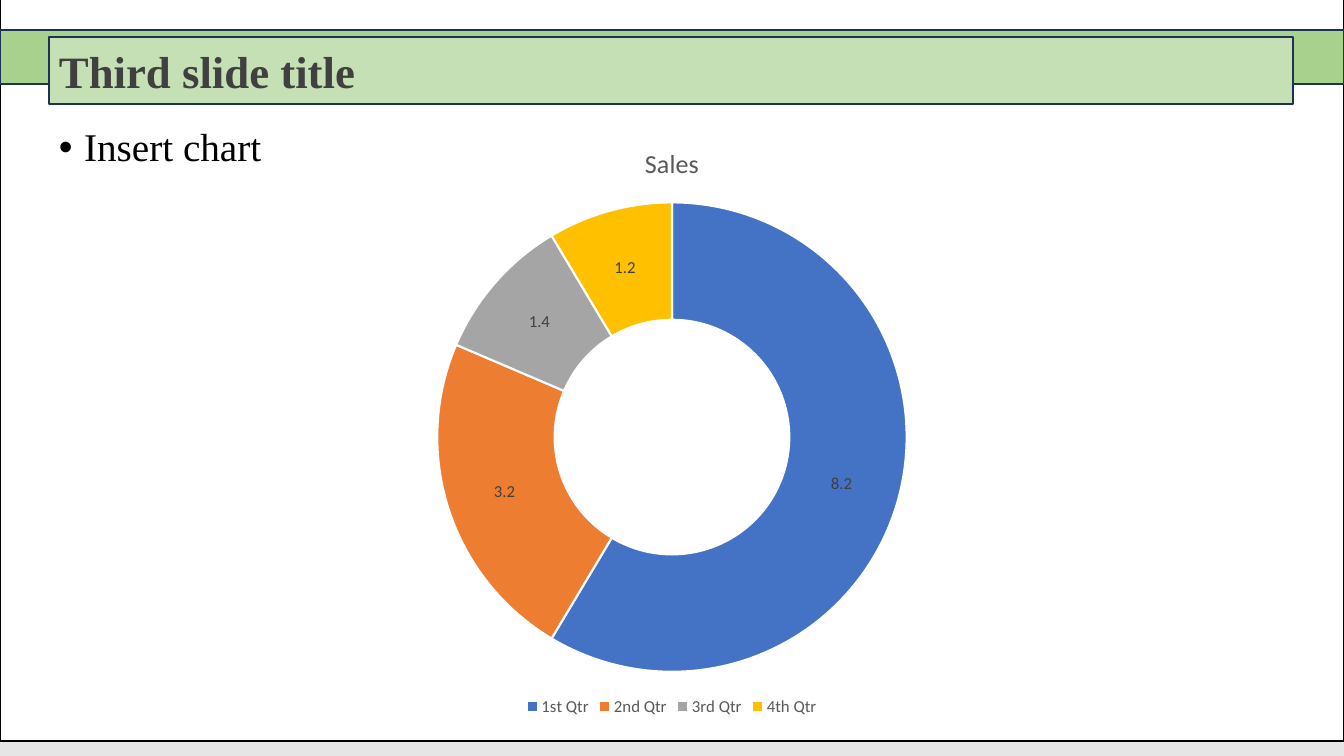
from lxml.etree import SubElement
from pptx import Presentation
from pptx.chart.data import CategoryChartData
from pptx.dml.color import RGBColor
from pptx.enum.chart import XL_CHART_TYPE, XL_LEGEND_POSITION
from pptx.enum.shapes import MSO_SHAPE
from pptx.enum.text import MSO_ANCHOR, PP_ALIGN
from pptx.oxml.ns import qn
from pptx.util import Pt

SCALE = 914400 / 100.8
COLORS = {
    "back": "E7E6E6", "page": "FFFFFF", "edge": "000000",
    "band": "A9D18E", "title": "C5E0B4", "rim": "1E3256",
    "text": "000000", "dark": "404040", "gray": "595959",
}
SALES = {
    "1st Qtr": (8.2, "4472C4"),
    "2nd Qtr": (3.2, "ED7D31"),
    "3rd Qtr": (1.4, "A5A5A5"),
    "4th Qtr": (1.2, "FFC000"),
}


def px(*sizes):
    """Turn px lengths into a list of EMU."""
    return [round(size * SCALE) for size in sizes]


def rgb(name):
    return RGBColor.from_string(COLORS.get(name, name))


def paint(target, color):
    target.fill.solid()
    target.fill.fore_color.rgb = rgb(color)


def style(font, size, color, face="Calibri", bold=False):
    font.name, font.size, font.bold = face, Pt(size), bold
    font.color.rgb = rgb(color)


def write(frame, text, size=12, color="text", face="Calibri", bold=False,
          align=PP_ALIGN.LEFT, anchor=MSO_ANCHOR.TOP, bullet=None):
    frame.word_wrap = True
    frame.vertical_anchor = anchor
    para = frame.paragraphs[0]
    para.alignment = align
    run = para.add_run()
    run.text = text
    style(run.font, size, color, face, bold)
    if bullet:
        para.line_spacing = 0.9
        para.space_before = Pt(10)
        props = para._p.get_or_add_pPr()
        props.set("marL", "228600")
        props.set("indent", "-228600")
        SubElement(props, qn("a:buFont"), typeface="Arial")
        SubElement(props, qn("a:buChar"), char=bullet)


class Deck:
    serif = "Times New Roman"

    def __init__(self):
        self.show = Presentation()
        self.show.slide_width, self.show.slide_height = px(1344, 756)
        self.slide = self.show.slides.add_slide(self.show.slide_layouts[6])
        paint(self.slide.background, "back")

    def box(self, area, fill, line, width=1):
        shape = self.slide.shapes.add_shape(MSO_SHAPE.RECTANGLE, *px(*area))
        shape.shadow.inherit = False
        paint(shape, fill)
        shape.line.color.rgb = rgb(line)
        shape.line.width = Pt(width)
        return shape

    def title(self, area, text):
        shape = self.box(area, "title", "rim")
        write(shape.text_frame, text, size=32, color="dark", face=self.serif,
              bold=True, anchor=MSO_ANCHOR.MIDDLE)

    def body(self, area, text):
        shape = self.slide.shapes.add_textbox(*px(*area))
        write(shape.text_frame, text, size=28, face=self.serif, bullet="•")

    def ring(self, area, name, rows):
        """Add a doughnut chart of label: (value, color) rows."""
        data = CategoryChartData()
        data.categories = list(rows)
        data.add_series(name, [value for value, _ in rows.values()])
        chart = self.slide.shapes.add_chart(
            XL_CHART_TYPE.DOUGHNUT, *px(*area), data).chart
        style(chart.font, 10, "text")

        chart.has_title = True
        head = chart.chart_title
        head.include_in_layout = False
        write(head.text_frame, name, size=18.6, color="gray",
              align=PP_ALIGN.CENTER)

        chart.has_legend = True
        chart.legend.position = XL_LEGEND_POSITION.BOTTOM
        chart.legend.include_in_layout = False
        style(chart.legend.font, 12, "gray")

        plot = chart.plots[0]
        plot.vary_by_categories = True
        plot._element.find(qn("c:holeSize")).set("val", "75")
        series = plot.series[0]
        for place, (_, color) in enumerate(rows.values()):
            part = series.points[place].format
            paint(part, color)
            part.line.color.rgb = rgb("page")
            part.line.width = Pt(1.5)
        labels = series.data_labels
        labels.show_value = True
        style(labels.font, 12, "dark")

    def save(self):
        self.show.save("out.pptx")


def main():
    deck = Deck()
    deck.box((0, -15, 1344, 756), "page", "edge", width=1.5)
    deck.box((0, 30, 1344, 54), "band", "rim")
    deck.body((49, 123, 1189, 511), "Insert chart")
    deck.title((49, 37, 1244, 67), "Third slide title")
    deck.ring((224, 123, 896, 598), "Sales", SALES)
    deck.save()


if __name__ == "__main__":
    main()
